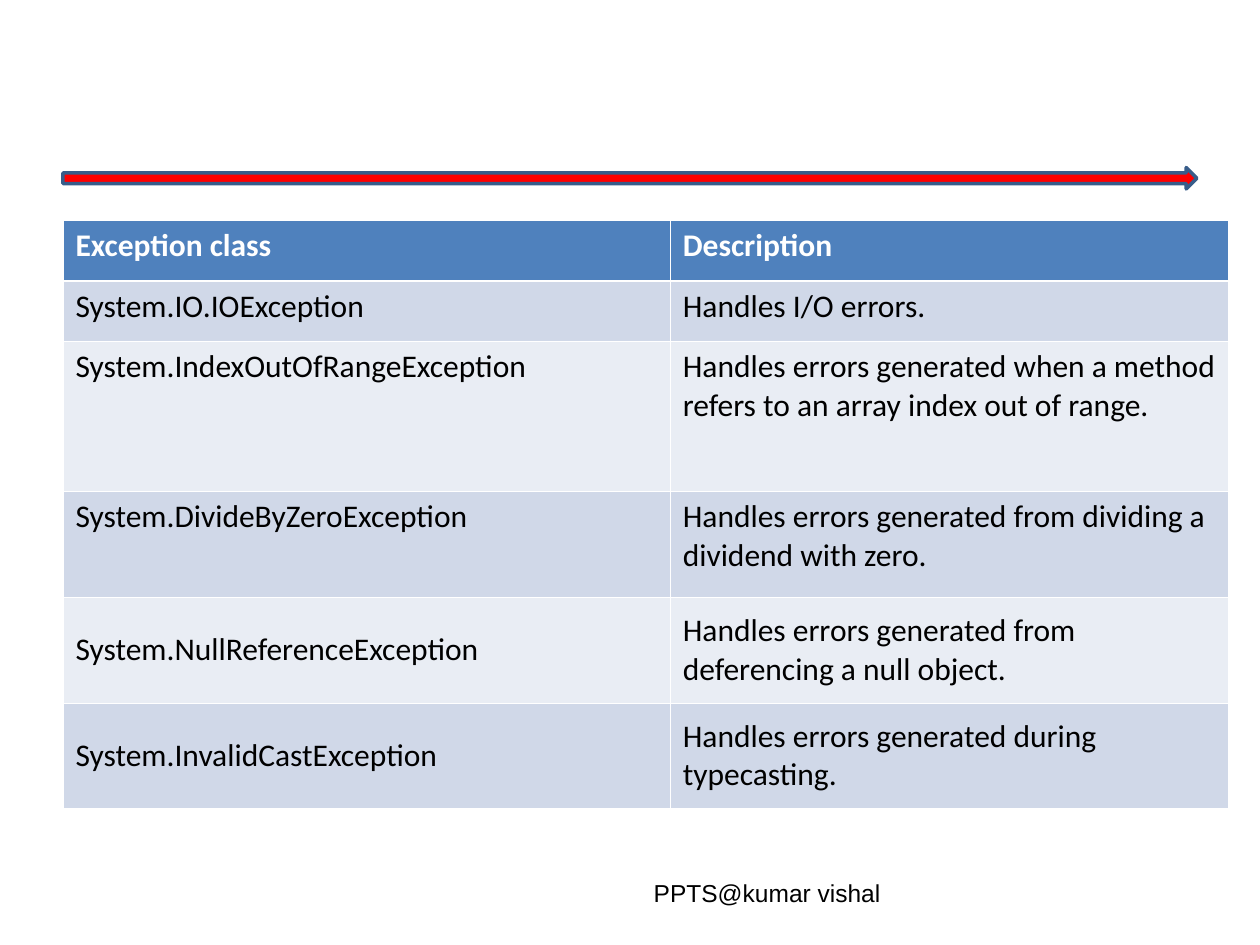
from dataclasses import dataclass

from lxml import etree
from pptx import Presentation
from pptx.dml.color import RGBColor
from pptx.enum.shapes import MSO_SHAPE
from pptx.enum.text import MSO_ANCHOR
from pptx.oxml.ns import qn
from pptx.util import Inches, Pt

RIGHT_ARROW = MSO_SHAPE.RIGHT_ARROW
TOP, MIDDLE = MSO_ANCHOR.TOP, MSO_ANCHOR.MIDDLE


@dataclass
class Theme:
    white: str = "FFFFFF"
    black: str = "000000"
    header: str = "4F81BD"
    bands: tuple = ("D0D8E8", "E9EDF4")
    arrow: str = "FF0000"
    arrow_line: str = "385D8A"
    table_font: str = "Calibri"
    footer_font: str = "Arial"
    table_size: int = 18
    footer_size: int = 14


def style_run(r, font, size, color, bold=False):
    r.font.name = font
    r.font.size = Pt(size)
    r.font.bold = bold
    r.font.color.rgb = RGBColor.from_string(color)


def set_borders(cell, color, widths):
    tc_pr = cell._tc.get_or_add_tcPr()
    for i, (side, width) in enumerate(widths.items()):
        ln = etree.Element(qn(f"a:{side}"), w=str(Pt(width)))
        fill = etree.SubElement(ln, qn("a:solidFill"))
        etree.SubElement(fill, qn("a:srgbClr"), val=color)
        tc_pr.insert(i, ln)


theme = Theme()
prs = Presentation()
prs.slide_width = Inches(10)
prs.slide_height = Inches(7.5)
s = prs.slides.add_slide(prs.slide_layouts[6])

arrow = s.shapes.add_shape(RIGHT_ARROW, Inches(0.5), Inches(1.33), Inches(9), Inches(0.17))
arrow.shadow.inherit = False
arrow.fill.solid()
arrow.fill.fore_color.rgb = RGBColor.from_string(theme.arrow)
arrow.line.color.rgb = RGBColor.from_string(theme.arrow_line)
arrow.line.width = Pt(2)

footer = s.shapes.add_textbox(Inches(5.09), Inches(6.92), Inches(2), Inches(0.34))
tf = footer.text_frame
tf.word_wrap = False
tf.text = "PPTS@kumar vishal"
style_run(tf.paragraphs[0].runs[0], theme.footer_font, theme.footer_size, theme.black)

rows = [
    ("Exception class", "Description", 0.48, TOP),
    ("System.IO.IOException", "Handles I/O errors.", 0.48, TOP),
    ("System.IndexOutOfRangeException",
     "Handles errors generated when a method refers to an array index out of range.", 1.19, TOP),
    ("System.DivideByZeroException",
     "Handles errors generated from dividing a dividend with zero.", 0.84, TOP),
    ("System.NullReferenceException",
     "Handles errors generated from deferencing a null object.", 0.84, MIDDLE),
    ("System.InvalidCastException",
     "Handles errors generated during typecasting.", 0.84, MIDDLE),
]
table = s.shapes.add_table(len(rows), 2, Inches(0.5), Inches(1.75), Inches(9.25), Inches(4.67)).table
for column, width in zip(table.columns, (4.82, 4.43)):
    column.width = Inches(width)

thin, thick = 0.45, 1.47
for i, (name, description, height, anchor) in enumerate(rows):
    table.rows[i].height = Inches(height)
    is_header = i == 0
    fill = theme.header if is_header else theme.bands[(i - 1) % 2]
    color = theme.white if is_header else theme.black
    borders = {"lnL": thin, "lnR": thin,
               "lnT": thick if i == 1 else thin,
               "lnB": thick if is_header else thin}
    for j, text in enumerate((name, description)):
        cell = table.cell(i, j)
        cell.text_frame.text = text
        cell.vertical_anchor = anchor
        cell.fill.solid()
        cell.fill.fore_color.rgb = RGBColor.from_string(fill)
        set_borders(cell, theme.white, borders)
        r = cell.text_frame.paragraphs[0].runs[0]
        style_run(r, theme.table_font, theme.table_size, color, is_header)

prs.save("out.pptx")
